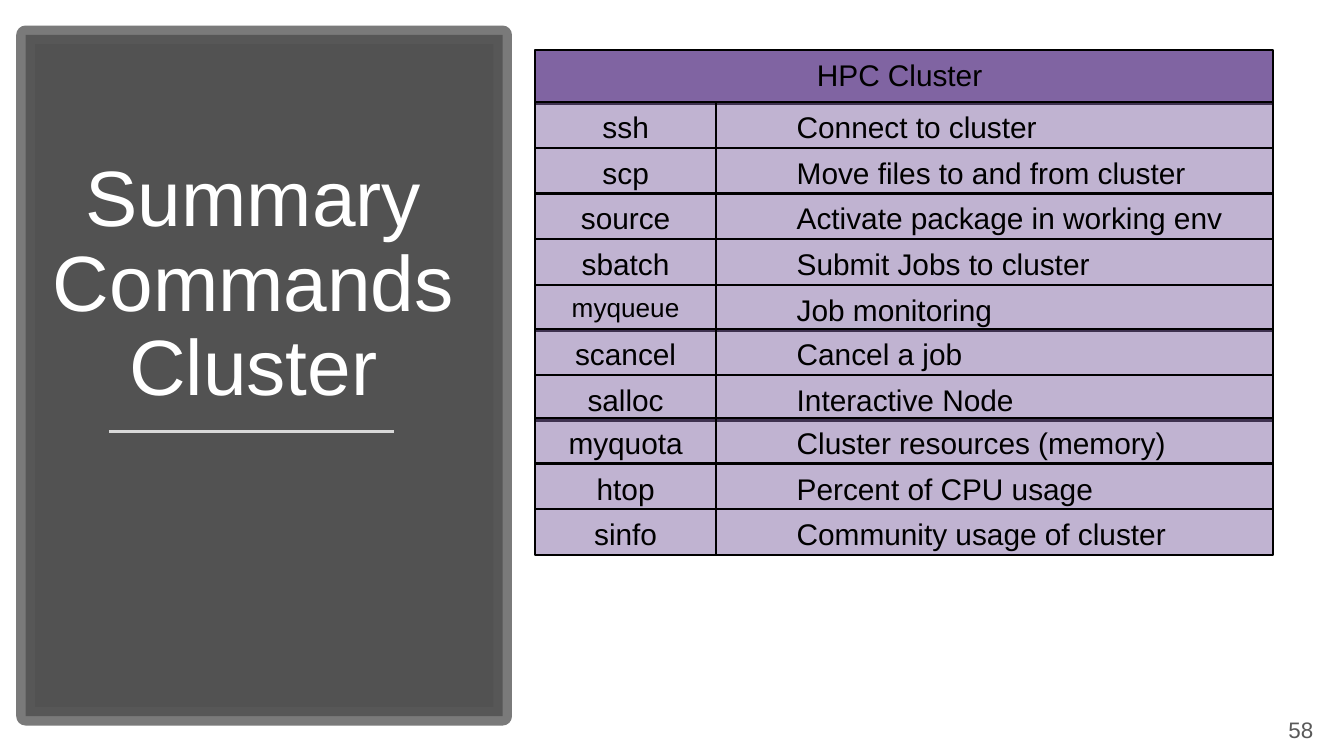
from dataclasses import dataclass

from lxml import etree
from pptx import Presentation
from pptx.dml.color import RGBColor
from pptx.enum import shapes, text
from pptx.oxml.ns import qn
from pptx.util import Inches, Pt

FONT = "Arial"
PURPLE, BLACK, WHITE = "8064A2", "000000", "FFFFFF"
CENTER, LEFT, RIGHT = text.PP_ALIGN.CENTER, text.PP_ALIGN.LEFT, text.PP_ALIGN.RIGHT

TABLE_LEFT, HEADER_TOP, HEADER_HEIGHT = 3.98, 0.37, 0.4
ROWS_TOP, ROW_HEIGHT = 0.76, 0.34
COMMAND_WIDTH, PURPOSE_WIDTH = 1.35, 4.14


@dataclass
class Box:
    left: float
    top: float
    width: float
    height: float

    def lengths(self):
        return [Inches(n) for n in (self.left, self.top, self.width, self.height)]


@dataclass
class Command:
    name: str
    purpose: str
    size: int = 16
    overlap: float = 0  # how far the row reaches into the one above


COMMANDS = [
    Command("ssh", "Connect to cluster"),
    Command("scp", "Move files to and from cluster"),
    Command("source", "Activate package in working env"),
    Command("sbatch", "Submit Jobs to cluster"),
    Command("myqueue", "Job monitoring", size=14),
    Command("scancel", "Cancel a job", overlap=0.01),
    Command("salloc", "Interactive Node"),
    Command("myquota", "Cluster resources (memory)", overlap=0.02),
    Command("htop", "Percent of CPU usage"),
    Command("sinfo", "Community usage of cluster"),
]


def paint(fill, color: str, opacity: int = 100):
    """Make a fill solid, with its opacity in percent."""
    fill.solid()
    fill.fore_color.rgb = RGBColor.from_string(color)
    if opacity < 100:
        srgb = fill._xPr.find(f"{qn('a:solidFill')}/{qn('a:srgbClr')}")
        etree.SubElement(srgb, qn("a:alpha"), val=str(opacity * 1000))


def add_rectangle(slide, box: Box, color: str, opacity: int, line: str,
                  line_width: float, line_opacity: int = 100):
    rectangle = slide.shapes.add_shape(shapes.MSO_SHAPE.RECTANGLE, *box.lengths())
    rectangle.shadow.inherit = False
    paint(rectangle.fill, color, opacity)
    paint(rectangle.line.fill, line, line_opacity)
    rectangle.line.width = Pt(line_width)
    return rectangle


def write(shape, lines: list[str], size: float, color: str, align, anchor,
          indent: float = 0):
    frame = shape.text_frame
    frame.word_wrap = True
    frame.vertical_anchor = anchor
    frame.text = "\n".join(lines)
    for paragraph in frame.paragraphs:
        paragraph.alignment = align
        if indent:
            paragraph._p.get_or_add_pPr().set("marL", str(Inches(indent)))
        paragraph.font.name = FONT
        paragraph.font.size = Pt(size)
        paragraph.font.color.rgb = RGBColor.from_string(color)
    return frame


def add_cell(slide, box: Box, content: str, size: float = 16, align=CENTER,
             indent: float = 0, opacity: int = 49):
    cell = add_rectangle(slide, box, PURPLE, opacity, BLACK, 1.25)
    write(cell, [content], size, BLACK, align, text.MSO_ANCHOR.TOP, indent)


def add_title_panel(slide):
    add_rectangle(slide, Box(0.19, 0.26, 3.55, 5.07), "404040", 90, "595959", 10, 80)
    title = slide.shapes.add_textbox(*Box(0.2, 0.75, 3.37, 2.37).lengths())
    frame = write(title, ["Summary", "Commands", "Cluster"], 42, WHITE, CENTER,
                  text.MSO_ANCHOR.BOTTOM)
    for paragraph in frame.paragraphs:
        paragraph.line_spacing = 0.9

    underline = slide.shapes.add_connector(
        shapes.MSO_CONNECTOR.STRAIGHT,
        Inches(0.81), Inches(3.21), Inches(2.93), Inches(3.21))
    paint(underline.line.fill, "D9D9D9")
    underline.line.width = Pt(1.75)
    etree.SubElement(underline._element.spPr, qn("a:effectLst"))


def add_page_number(slide):
    number = slide.shapes.add_textbox(*Box(9.47, 5.28, 0.4, 0.3).lengths())
    frame = write(number, ["58"], 12, "595959", RIGHT, text.MSO_ANCHOR.MIDDLE)
    frame.paragraphs[0].space_after = Pt(6)


def add_command_grid(slide):
    add_cell(slide, Box(TABLE_LEFT, HEADER_TOP, COMMAND_WIDTH + PURPOSE_WIDTH,
                        HEADER_HEIGHT),
             "HPC Cluster", align=LEFT, indent=2, opacity=100)
    top = ROWS_TOP
    for command in COMMANDS:
        top -= command.overlap
        add_cell(slide, Box(TABLE_LEFT + COMMAND_WIDTH, top, PURPOSE_WIDTH, ROW_HEIGHT),
                 command.purpose, align=LEFT, indent=0.5)
        add_cell(slide, Box(TABLE_LEFT, top, COMMAND_WIDTH, ROW_HEIGHT),
                 command.name, command.size)
        top += ROW_HEIGHT


def main():
    presentation = Presentation()
    presentation.slide_width = Inches(10)
    presentation.slide_height = Inches(10) * 9 // 16
    slide = presentation.slides.add_slide(presentation.slide_layouts[6])
    add_title_panel(slide)
    add_page_number(slide)
    add_command_grid(slide)
    presentation.save("out.pptx")


if __name__ == "__main__":
    main()
